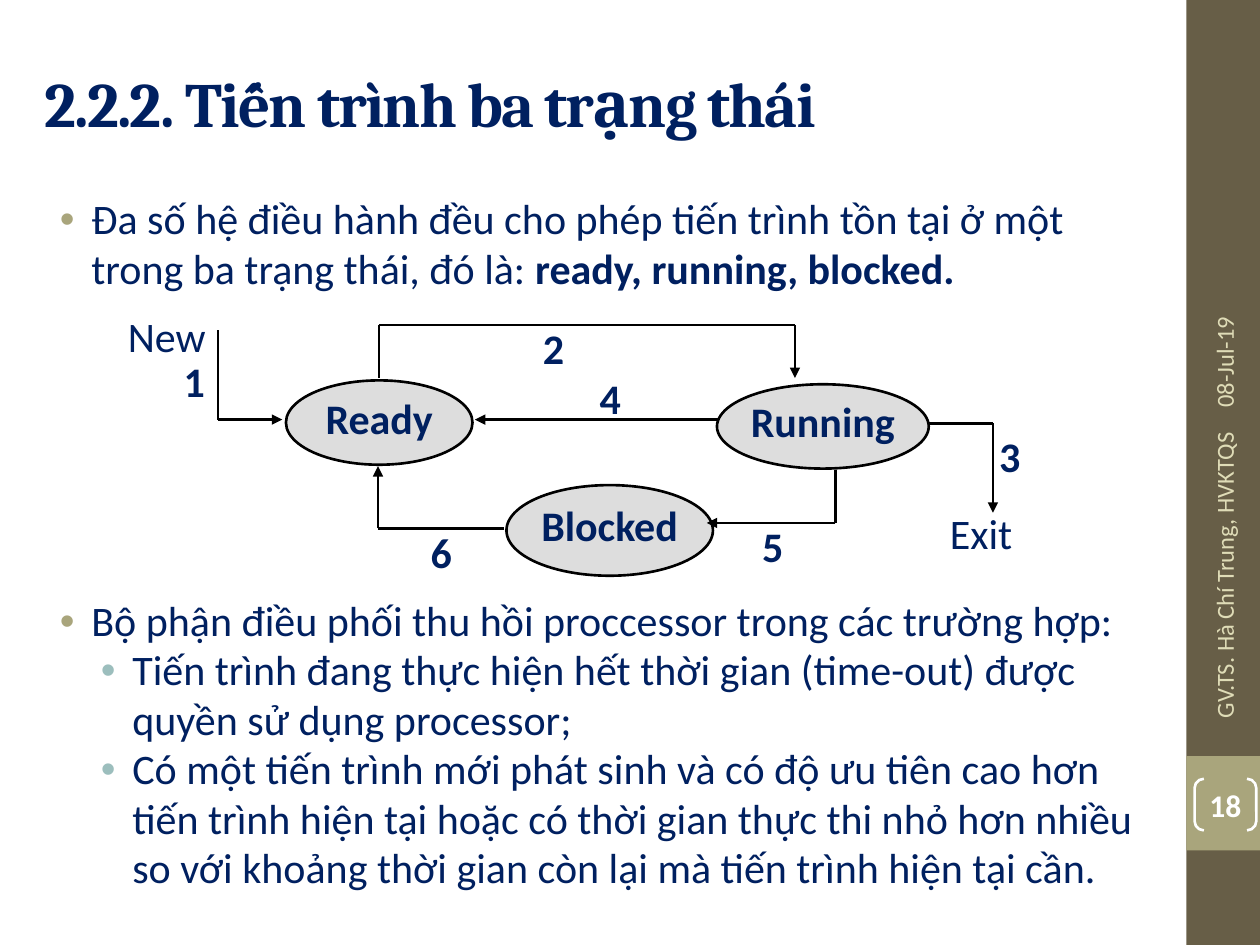
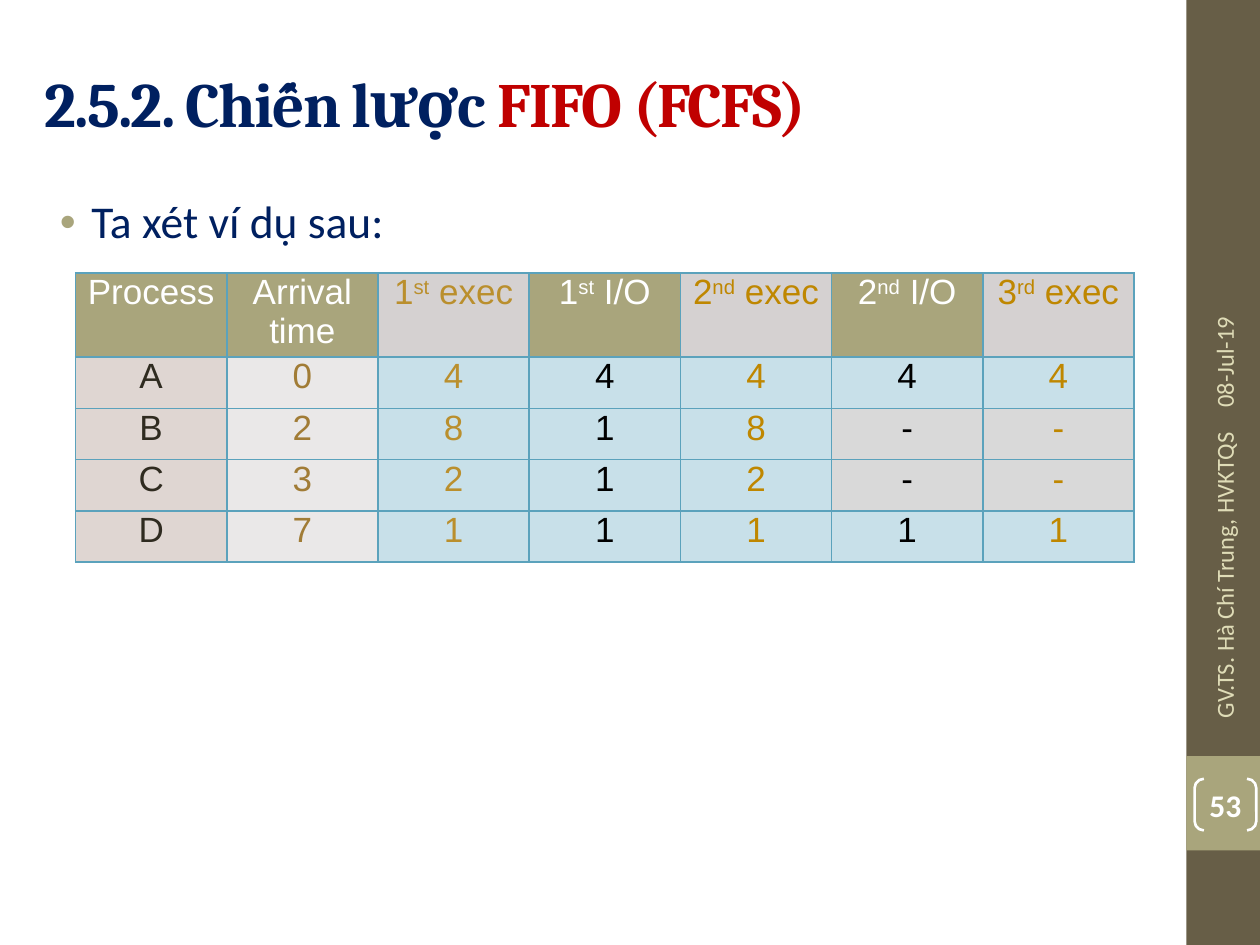
"""Build two lecture slides: the three-state process model and the FIFO example."""
from dataclasses import dataclass
from itertools import pairwise

from lxml.etree import SubElement
from pptx import Presentation
from pptx.dml.color import RGBColor
from pptx.enum.shapes import MSO_CONNECTOR, MSO_SHAPE
from pptx.enum.text import MSO_ANCHOR, MSO_AUTO_SIZE, PP_ALIGN
from pptx.oxml.ns import qn
from pptx.util import Pt


@dataclass(frozen=True)
class Theme:
    """Colours, fonts and type sizes shared by the slides."""
    navy: str = "002060"
    red: str = "C00000"
    white: str = "FFFFFF"
    black: str = "000000"
    band: str = "675E47"
    olive: str = "A9A57C"
    teal: str = "9CBEBD"
    sand: str = "DFDCB7"
    state: str = "DDDDDD"
    border: str = "5BA2BC"
    exec_header: str = "D5D1D1"
    name_fill: str = "DFD6D2"
    arrival_fill: str = "EAE8E8"
    value_fill: str = "C8E0E9"
    empty_fill: str = "D9D9D9"
    dark: str = "2F2B20"
    bronze: str = "A17C36"
    ochre: str = "BA8F2D"
    gold: str = "BF8700"
    heading_font: str = "Cambria"
    body_font: str = "Calibri"
    table_font: str = "Arial"
    title_size: int = 36
    lead_size: int = 26
    body_size: int = 24
    table_size: int = 20
    number_size: int = 18
    footer_size: int = 14
    line_width: float = 1.5


THEME = Theme()
AUTHOR = "GV.TS. Hà Chí Trung, HVKTQS"
DATE = "08-Jul-19"

TITLE_BOX = (18, 21.6, 642, 74)
BODY_BOX = (18, 108, 642, 420)
SIDE_BOX = (678, 0, 42, 540)
DIAGRAM_BOX = (66, 174, 558, 156)
TABLE_BOX = (43.2, 156, 604.8, 161.8)

STATES = {
    "Ready": (97.4, 43.4, 106.6, 48.2),
    "Running": (343.7, 45.6, 121, 48.2),
    "Blocked": (223.4, 103.2, 118, 51.8),
}
ROUTES = [
    [(58.6, 14.6), (58.6, 65.8), (95.3, 65.8)],
    [(150.5, 42), (150.5, 11.8), (388.3, 11.8), (388.3, 42)],
    [(464.6, 67.9), (501.4, 67.9), (501.4, 119)],
    [(344.4, 65.8), (205.4, 65.8)],
    [(411.4, 94.6), (411.4, 124.8), (337.9, 124.8)],
    [(222, 128), (150, 128), (150, 92.4)],
]
ROUTE_LABELS = [
    ("1", 31.9, 25.4), ("2", 237.1, 6.7), ("3", 497.8, 68.6),
    ("4", 269.5, 35.5), ("5", 362.4, 119.8), ("6", 173, 123.4),
]
END_LABELS = [("New", 0, 0), ("Exit", 469.7, 112.6)]

HEADERS = [
    ("Process",), ("Arrival time",), ("1", "st", " exec"), ("1", "st", " I/O"),
    ("2", "nd", " exec"), ("2", "nd", " I/O"), ("3", "rd", " exec"),
]
PROCESSES = ["A044444", "B2818--", "C3212--", "D711111"]
COLUMN_COLOURS = [THEME.dark, THEME.bronze, THEME.ochre, THEME.black,
                  THEME.gold, THEME.black, THEME.gold]


def rgb(code):
    """Turn a hexadecimal code into a colour."""
    return RGBColor.from_string(code)


def points(*lengths):
    """Turn numbers into lengths in points."""
    return [Pt(length) for length in lengths]


def add_span(para, text, size, colour, bold=False, font=THEME.body_font, **attributes):
    """Append one formatted run to a paragraph."""
    span = para.add_run()
    span.text = text
    span.font.size = Pt(size)
    span.font.bold = bold
    span.font.name = font
    span.font.color.rgb = rgb(colour)
    for name, value in attributes.items():
        span._r.get_or_add_rPr().set(name, value)


def add_preset(page, preset, box, fill=None, line=None):
    """Add a preset shape without a shadow."""
    shape = page.shapes.add_shape(preset, *points(*box))
    shape.shadow.inherit = False
    if fill:
        shape.fill.solid()
        shape.fill.fore_color.rgb = rgb(fill)
    else:
        shape.fill.background()
    if line:
        shape.line.color.rgb = rgb(line)
        shape.line.width = Pt(THEME.line_width)
    else:
        shape.line.fill.background()
    return shape


def add_label(page, text, box, size=THEME.body_size, colour=THEME.navy, bold=False):
    """Add a one-paragraph text box and return it."""
    label = page.shapes.add_textbox(*points(*box))
    label.text_frame.word_wrap = True
    add_span(label.text_frame.paragraphs[0], text, size, colour, bold)
    return label


def centre_text(shape, text, size, colour, bottom=0):
    """Write bold centred text inside a shape, raised by the bottom inset."""
    frame = shape.text_frame
    frame.word_wrap = False
    frame.vertical_anchor = MSO_ANCHOR.MIDDLE
    frame.margin_left = frame.margin_right = frame.margin_top = 0
    frame.margin_bottom = Pt(bottom)
    para = frame.paragraphs[0]
    para.alignment = PP_ALIGN.CENTER
    add_span(para, text, size, colour, True)


def place(holder, box, anchor):
    """Move a placeholder to a box and return its text frame."""
    holder.left, holder.top, holder.width, holder.height = points(*box)
    frame = holder.text_frame
    frame.word_wrap = True
    frame.auto_size = MSO_AUTO_SIZE.NONE
    frame.vertical_anchor = anchor
    return frame


def add_title(page, box, spans):
    """Fill the title placeholder with coloured spans."""
    para = place(page.shapes.title, box, MSO_ANCHOR.MIDDLE).paragraphs[0]
    para.alignment = PP_ALIGN.LEFT
    for text, colour in spans:
        add_span(para, text, THEME.title_size, colour, True, THEME.heading_font, spc="-100")


def add_bullets(page, box, size, items):
    """Fill the body placeholder with (level, space before, spans) items."""
    frame = place(page.placeholders[1], box, MSO_ANCHOR.TOP)
    for index, (level, gap, spans) in enumerate(items):
        para = frame.add_paragraph() if index else frame.paragraphs[0]
        para.level = level
        para.line_spacing = 0.98
        para.space_before, para.space_after = Pt(gap), Pt(0)
        properties = para._p.get_or_add_pPr()
        properties.set("marL", str(Pt((27, 50.4)[level])))
        properties.set("indent", str(Pt(-18)))
        bullet_colour = SubElement(properties, qn("a:buClr"))
        SubElement(bullet_colour, qn("a:srgbClr"), val=(THEME.olive, THEME.teal)[level])
        SubElement(properties, qn("a:buFont"), typeface="Arial")
        SubElement(properties, qn("a:buChar"), char="•")
        for text, bold in spans:
            add_span(para, text, size, THEME.navy, bold)


def add_side_band(page, box, number):
    """Draw the right band with date, author and slide number."""
    left, top, width, height = box
    add_preset(page, MSO_SHAPE.RECTANGLE, box, THEME.band)
    add_preset(page, MSO_SHAPE.RECTANGLE, (left, top + 432, width, 54), THEME.olive)
    footers = [(DATE, -74.6, 129.6, 192.2, PP_ALIGN.LEFT),
               (AUTHOR, -71.8, 319, 186.5, PP_ALIGN.RIGHT)]
    for text, across, down, length, alignment in footers:
        label = add_label(page, text, (left + across, top + down, length, 28.8),
                          THEME.footer_size, THEME.sand)
        label.rotation = 270
        label.text_frame.vertical_anchor = MSO_ANCHOR.MIDDLE
        label.text_frame.paragraphs[0].alignment = alignment
    bracket = add_preset(page, MSO_SHAPE.DOUBLE_BRACKET, (left + 4.6, top + 445, 35.3, 29.5),
                         line=THEME.white)
    bracket.adjustments[0] = 0.18
    centre_text(bracket, str(number), THEME.number_size, THEME.white)


def add_route(page, left, top, stops):
    """Connect the stops with straight lines and an arrowhead at the end."""
    for start, end in pairwise(stops):
        line = page.shapes.add_connector(
            MSO_CONNECTOR.STRAIGHT,
            *points(left + start[0], top + start[1], left + end[0], top + end[1]))
        line.line.color.rgb = rgb(THEME.black)
        line.line.width = Pt(THEME.line_width)
        if end == stops[-1]:
            SubElement(line.line._get_or_add_ln(), qn("a:tailEnd"), type="triangle")
        SubElement(line._element.spPr, qn("a:effectLst"))


def add_state_diagram(page, box):
    """Draw the states, the numbered transitions and the two end points."""
    left, top = box[:2]
    for name, (across, down, width, height) in STATES.items():
        state = add_preset(page, MSO_SHAPE.OVAL, (left + across, top + down, width, height),
                           THEME.state, THEME.black)
        centre_text(state, name, THEME.body_size, THEME.navy, 6)
    for stops in ROUTES:
        add_route(page, left, top, stops)
    for text, across, down in ROUTE_LABELS:
        add_label(page, text, (left + across, top + down, 36.7, 30.2), bold=True)
    for text, across, down in END_LABELS:
        add_label(page, text, (left + across, top + down, 85, 30.2))


def format_cell(cell, spans, colour, fill):
    """Write centred text into a bordered, filled cell."""
    cell.margin_left = cell.margin_right = Pt(3.6)
    cell.margin_top = cell.margin_bottom = 0
    properties = cell._tc.get_or_add_tcPr()
    for side in ("lnL", "lnR", "lnT", "lnB"):
        edge = SubElement(properties, qn(f"a:{side}"), w=str(Pt(1)))
        SubElement(SubElement(edge, qn("a:solidFill")), qn("a:srgbClr"), val=THEME.border)
    cell.fill.solid()
    cell.fill.fore_color.rgb = rgb(fill)
    para = cell.text_frame.paragraphs[0]
    para.alignment = PP_ALIGN.CENTER
    for index, text in enumerate(spans):
        raised = {"baseline": "30000"} if index == 1 else {}
        add_span(para, text, THEME.table_size, colour, font=THEME.table_font, **raised)


def add_process_table(page, box):
    """Draw the table of arrival and execution times."""
    table = page.shapes.add_table(len(PROCESSES) + 1, len(HEADERS), *points(*box)).table
    header_height = 44.6
    for column in table.columns:
        column.width = Pt(box[2] / len(HEADERS))
    for row in table.rows:
        row.height = Pt((box[3] - header_height) / len(PROCESSES))
    table.rows[0].height = Pt(header_height)
    for column, (header, colour) in enumerate(zip(HEADERS, COLUMN_COLOURS)):
        is_exec = header[-1] == " exec"
        format_cell(table.cell(0, column), header, colour if is_exec else THEME.white,
                    THEME.exec_header if is_exec else THEME.olive)
        for row, process in enumerate(PROCESSES, 1):
            value = process[column]
            value_fill = THEME.empty_fill if value == "-" else THEME.value_fill
            fill = (THEME.name_fill, THEME.arrival_fill, value_fill)[min(column, 2)]
            format_cell(table.cell(row, column), [value], colour, fill)


def add_page(deck, number, title, size, items):
    """Add a slide with the shared band, a title and a bullet list."""
    page = deck.slides.add_slide(deck.slide_layouts[1])
    add_side_band(page, SIDE_BOX, number)
    add_title(page, TITLE_BOX, title)
    add_bullets(page, BODY_BOX, size, items)
    return page


def main():
    """Build and save the deck."""
    deck = Presentation()
    deck.slide_width, deck.slide_height = points(720, 540)
    states = add_page(deck, 18, [("2.2.2. Tiến trình ba trạng thái", THEME.navy)], THEME.body_size, [
        (0, 0, [("Đa số hệ điều hành đều cho phép tiến trình tồn tại ở một trong ba trạng thái, "
                 "đó là: ", False), ("ready, running, blocked.", True)]),
        (0, 173, [("Bộ phận điều phối thu hồi proccessor trong các trường hợp:", False)]),
        (1, 0, [("Tiến trình đang thực hiện hết thời gian (time-out) được quyền sử dụng "
                 "processor;", False)]),
        (1, 0, [("Có một tiến trình mới phát sinh và có độ ưu tiên cao hơn tiến trình hiện tại "
                 "hoặc có thời gian thực thi nhỏ hơn nhiều so với khoảng thời gian còn lại mà "
                 "tiến trình hiện tại cần.", False)]),
    ])
    add_state_diagram(states, DIAGRAM_BOX)
    example = add_page(deck, 53, [("2.5.2. Chiến lược ", THEME.navy), ("FIFO (FCFS)", THEME.red)],
                       THEME.lead_size, [(0, 0, [("Ta xét ví dụ sau:", False)])])
    add_process_table(example, TABLE_BOX)
    deck.save("out.pptx")


if __name__ == "__main__":
    main()
